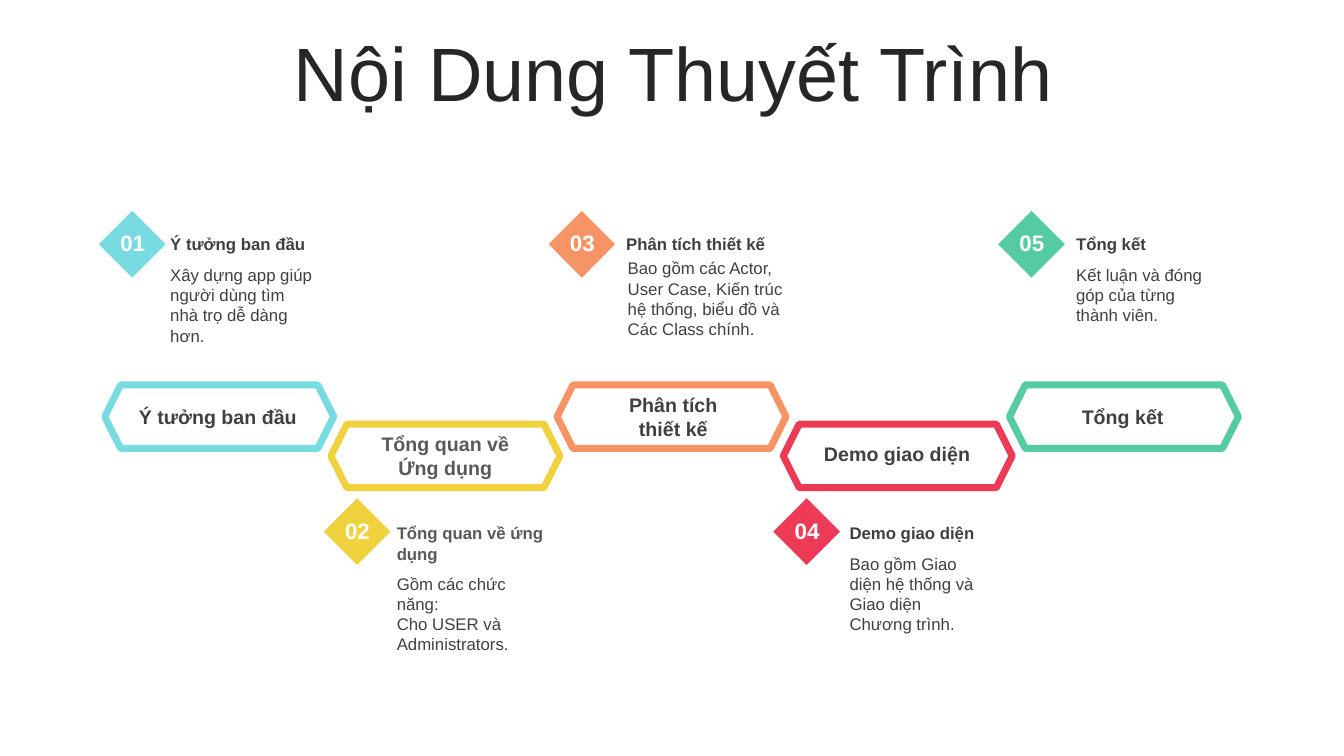
"""Build an agenda slide with five staggered hexagon steps and their descriptions."""
from dataclasses import dataclass

from pptx import Presentation
from pptx import util as u
from pptx.dml.color import RGBColor
from pptx.enum import shapes, text
from pptx.shapes.autoshape import Shape
from pptx.slide import Slide

COLOURS = {
    "white": "FFFFFF",
    "title": "262626",
    "dark": "404040",
    "grey": "595959",
    "cyan": "77DBE1",
    "yellow": "F0D23F",
    "orange": "F79465",
    "red": "ED3B55",
    "green": "54CBA0",
}
LEFT, CENTER = text.PP_ALIGN.LEFT, text.PP_ALIGN.CENTER
HEXAGON_LEFT, HEXAGON_PITCH = 2.64, 5.7
HEXAGON_TOPS = (9.7, 10.69)
DIAMOND_LEFT, DIAMOND_PITCH, DIAMOND_SIZE = 2.74, 5.665, 1.19
DIAMOND_TOPS = (5.56, 12.8)


@dataclass(frozen=True)
class Box:
    left: float
    top: float
    width: float
    height: float

    def lengths(self) -> tuple[u.Cm, ...]:
        return tuple(u.Cm(value) for value in (self.left, self.top, self.width, self.height))


@dataclass(frozen=True)
class Caption:
    words: str
    box: Box
    align: text.PP_ALIGN = LEFT


@dataclass(frozen=True)
class Step:
    colour: str
    label: Caption
    heading: Caption
    body: Caption
    title_colour: str = "dark"


STEPS = (
    Step("cyan",
         Caption("Ý tưởng ban đầu", Box(3.25, 10.08, 5.18, 0.86)),
         Caption("Ý tưởng ban đầu", Box(4.04, 5.77, 4.19, 0.76)),
         Caption("Xây dựng app giúp người dùng tìm nhà trọ dễ dàng hơn.",
                 Box(4.04, 6.55, 4.19, 2.31))),
    Step("yellow",
         Caption("Tổng quan về Ứng dụng", Box(9.27, 10.77, 3.91, 1.45), CENTER),
         Caption("Tổng quan về ứng dụng", Box(9.75, 13.06, 4.37, 1.57)),
         Caption("Gồm các chức năng:\nCho USER và Administrators.",
                 Box(9.75, 14.33, 4.37, 2.31)),
         "grey"),
    Step("orange",
         Caption("Phân tích thiết kế", Box(15.14, 9.78, 3.66, 1.45), CENTER),
         Caption("Phân tích thiết kế", Box(15.44, 5.77, 4.19, 0.76), CENTER),
         Caption("Bao gồm các Actor, User Case, Kiến trúc hệ thống, biểu đồ và Các Class chính.",
                 Box(15.57, 6.38, 4.8, 2.31))),
    Step("red",
         Caption("Demo giao diện", Box(20.35, 11.02, 4.52, 0.86), CENTER),
         Caption("Demo giao diện", Box(21.16, 13.06, 3.91, 0.76)),
         Caption("Bao gồm Giao diện hệ thống và Giao diện Chương trình.",
                 Box(21.16, 13.82, 3.91, 2.31))),
    Step("green",
         Caption("Tổng kết", Box(26.67, 10.08, 3.25, 0.86), CENTER),
         Caption("Tổng kết", Box(26.87, 5.77, 3.91, 0.76)),
         Caption("Kết luận và đóng góp của từng thành viên.",
                 Box(26.87, 6.55, 3.91, 1.8))),
)


def rgb(name: str) -> RGBColor:
    return RGBColor.from_string(COLOURS[name])


def add_caption(slide: Slide, caption: Caption, size: float, colour: str,
                bold: bool = False) -> Shape:
    shape = slide.shapes.add_textbox(*caption.box.lengths())
    frame = shape.text_frame
    frame.word_wrap = True
    frame.text = caption.words
    for paragraph in frame.paragraphs:
        paragraph.alignment = caption.align
        paragraph.font.name = "Arial"
        paragraph.font.size = u.Pt(size)
        paragraph.font.bold = bold
        paragraph.font.color.rgb = rgb(colour)
    return shape


def add_filled_shape(slide: Slide, kind: shapes.MSO_SHAPE, box: Box, fill: str) -> Shape:
    shape = slide.shapes.add_shape(kind, *box.lengths())
    shape.shadow.inherit = False
    shape.fill.solid()
    shape.fill.fore_color.rgb = rgb(fill)
    shape.line.fill.background()
    return shape


def add_title(slide: Slide) -> None:
    caption = Caption("Nội Dung Thuyết Trình", Box(0.89, 0.94, 32.16, 2.01), CENTER)
    frame = add_caption(slide, caption, 54, "title").text_frame
    frame.vertical_anchor = text.MSO_ANCHOR.MIDDLE
    paragraph = frame.paragraphs[0]
    paragraph.line_spacing = 0.9
    paragraph.space_before = u.Pt(10)


def add_step(slide: Slide, index: int, step: Step) -> None:
    row = index % 2
    hexagon_box = Box(HEXAGON_LEFT + index * HEXAGON_PITCH, HEXAGON_TOPS[row], 5.77, 1.6)
    hexagon = add_filled_shape(slide, shapes.MSO_SHAPE.HEXAGON, hexagon_box, "white")
    hexagon.line.color.rgb = rgb(step.colour)
    hexagon.line.width = u.Pt(5)
    add_caption(slide, step.label, 14, step.title_colour, bold=True)

    left, top = DIAMOND_LEFT + index * DIAMOND_PITCH, DIAMOND_TOPS[row]
    diamond = add_filled_shape(slide, shapes.MSO_SHAPE.RECTANGLE,
                               Box(left, top, DIAMOND_SIZE, DIAMOND_SIZE), step.colour)
    diamond.rotation = 315
    number = Caption(f"{index + 1:02}", Box(left + 0.02, top + 0.1, 1.17, 0.94), CENTER)
    add_caption(slide, number, 16, "white", bold=True)

    add_caption(slide, step.heading, 12, step.title_colour, bold=True)
    add_caption(slide, step.body, 12, "dark")


def main() -> None:
    presentation = Presentation()
    presentation.slide_width = u.Cm(33.87)
    presentation.slide_height = u.Cm(19.05)
    slide = presentation.slides.add_slide(presentation.slide_layouts[6])
    add_title(slide)
    for index, step in enumerate(STEPS):
        add_step(slide, index, step)
    presentation.save("out.pptx")


if __name__ == "__main__":
    main()
